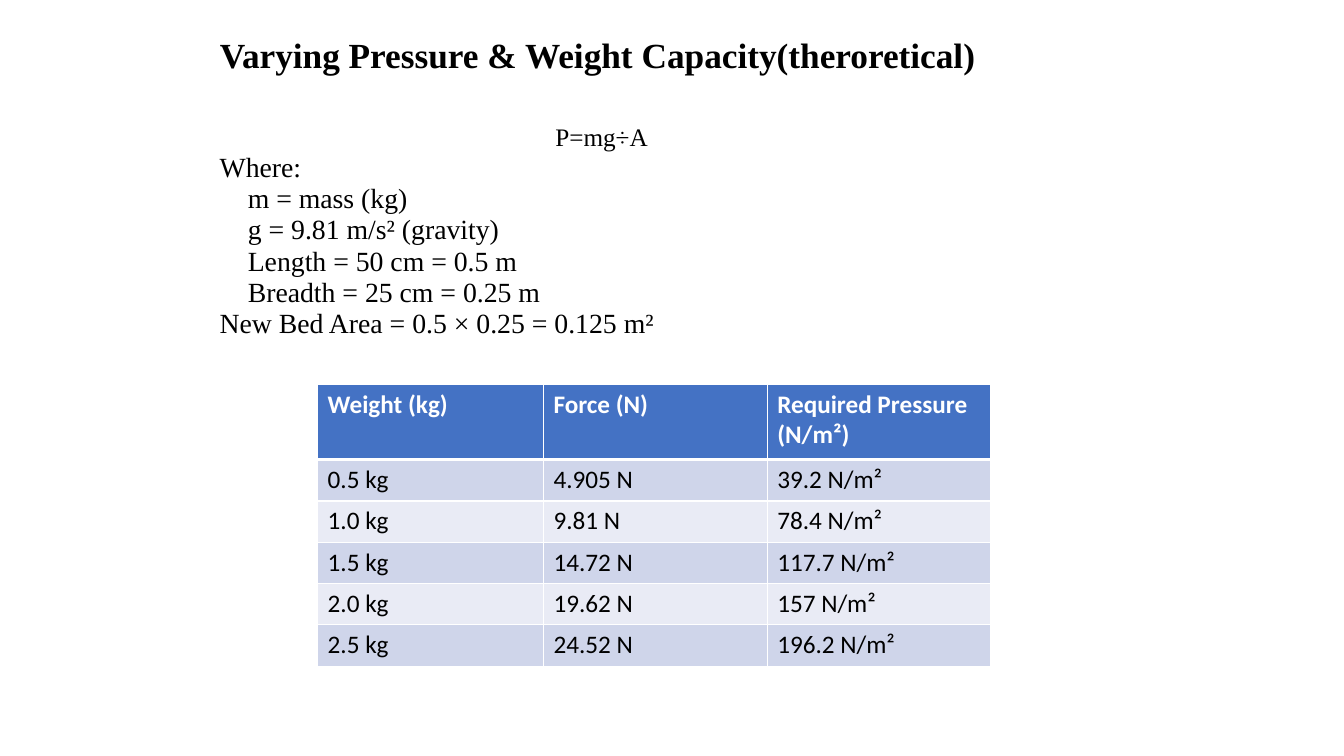
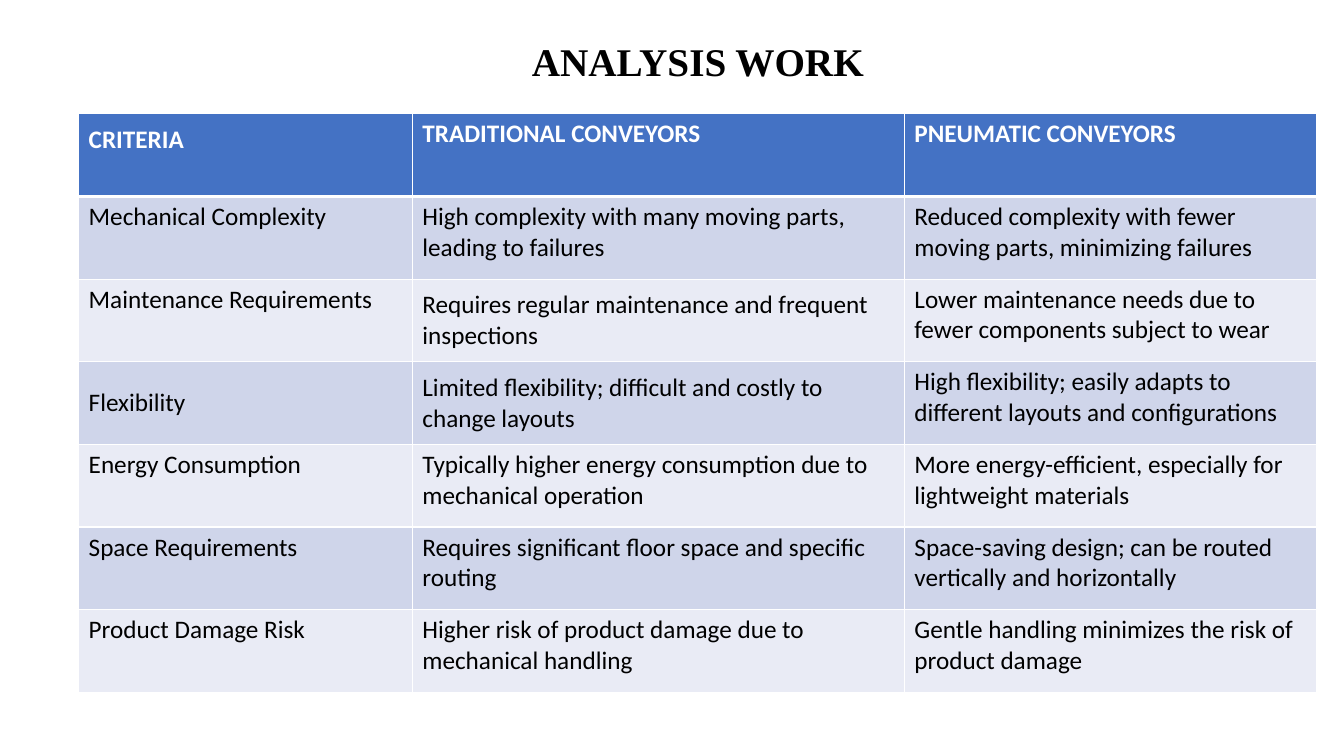
from dataclasses import dataclass

from lxml import etree
from pptx import Presentation
from pptx.dml.color import RGBColor
from pptx.enum.text import MSO_ANCHOR, MSO_AUTO_SIZE, PP_ALIGN
from pptx.oxml.ns import qn
from pptx.util import Inches, Pt

BLACK = RGBColor(0x00, 0x00, 0x00)
WHITE = RGBColor(0xFF, 0xFF, 0xFF)
HEADER_BLUE = RGBColor(0x44, 0x72, 0xC4)
BAND_DARK = RGBColor(0xCF, 0xD5, 0xEA)
BAND_LIGHT = RGBColor(0xE9, 0xEB, 0xF5)

SERIF = "Times New Roman"
SANS = "Calibri"
LEFT, CENTER = PP_ALIGN.LEFT, PP_ALIGN.CENTER
TOP, MIDDLE = MSO_ANCHOR.TOP, MSO_ANCHOR.MIDDLE
NO_AUTOFIT = MSO_AUTO_SIZE.NONE
TITLE_ONLY = 5


@dataclass(frozen=True)
class Area:
    left: float
    top: float
    width: float
    height: float

    def lengths(self):
        return [Inches(n) for n in (self.left, self.top, self.width, self.height)]


@dataclass(frozen=True)
class Line:
    text: str
    size: float = 19.8
    indent: float = 0


@dataclass(frozen=True)
class Grid:
    area: Area
    columns: tuple[float, ...]
    row_heights: tuple[float, ...]
    rows: tuple[tuple[str, ...], ...]
    middle_cells: tuple[tuple[int, int], ...] = ()


def add_span(para, text: str, font: str, size: float, color: RGBColor,
             bold: bool = False) -> None:
    span = para.add_run()
    span.text = text
    span.font.name = font
    span.font.size = Pt(size)
    span.font.color.rgb = color
    span.font.bold = bold


def add_page(deck, title: str, area: Area, size: float, align):
    page = deck.slides.add_slide(deck.slide_layouts[TITLE_ONLY])
    box = page.shapes.title
    box.left, box.top, box.width, box.height = area.lengths()
    frame = box.text_frame
    frame.auto_size = NO_AUTOFIT
    frame.word_wrap = True
    frame.vertical_anchor = MIDDLE
    para = frame.paragraphs[0]
    para.alignment = align
    para.line_spacing = 0.9
    add_span(para, title, SERIF, size, BLACK, bold=True)
    return page


def add_lines(page, area: Area, lines: tuple[Line, ...]) -> None:
    frame = page.shapes.add_textbox(*area.lengths()).text_frame
    frame.word_wrap = True
    for index, line in enumerate(lines):
        para = frame.add_paragraph() if index else frame.paragraphs[0]
        para.line_spacing = 0.94
        para._p.get_or_add_pPr().set("marL", str(Inches(line.indent)))
        add_span(para, line.text, SERIF, line.size, BLACK)


def set_borders(cell, top: float, bottom: float) -> None:
    properties = cell._tc.get_or_add_tcPr()
    for side, width in (("L", 1), ("R", 1), ("T", top), ("B", bottom)):
        border = etree.SubElement(properties, qn(f"a:ln{side}"), w=str(Pt(width)))
        fill = etree.SubElement(border, qn("a:solidFill"))
        etree.SubElement(fill, qn("a:srgbClr"), val=str(WHITE))


def add_grid(page, grid: Grid) -> None:
    table = page.shapes.add_table(
        len(grid.rows), len(grid.columns), *grid.area.lengths()).table
    for column, width in zip(table.columns, grid.columns):
        column.width = Inches(width)
    for row, height in zip(table.rows, grid.row_heights):
        row.height = Inches(height)
    for r, texts in enumerate(grid.rows):
        header = r == 0
        band = HEADER_BLUE if header else BAND_DARK if r % 2 else BAND_LIGHT
        for c, text in enumerate(texts):
            cell = table.cell(r, c)
            # A thick rule separates the header from the body
            set_borders(cell, top=3 if r == 1 else 1, bottom=3 if header else 1)
            cell.fill.solid()
            cell.fill.fore_color.rgb = band
            cell.vertical_anchor = MIDDLE if (r, c) in grid.middle_cells else TOP
            if header and (r, c) in grid.middle_cells:
                cell.margin_bottom = Inches(0.35)
            add_span(cell.text_frame.paragraphs[0], text, SANS, 18,
                     WHITE if header else BLACK, bold=header)


FORMULA_LINES = (
    Line("P=mg÷A", size=18, indent=3.33),
    Line("Where:"),
    Line("m = mass (kg)", indent=0.28),
    Line("g = 9.81 m/s² (gravity)", indent=0.28),
    Line("Length = 50 cm = 0.5 m", indent=0.28),
    Line("Breadth = 25 cm = 0.25 m", indent=0.28),
    Line("New Bed Area = 0.5 × 0.25 = 0.125 m²"),
)

PRESSURE_GRID = Grid(
    area=Area(3.15, 3.81, 6.68, 2.8),
    columns=(2.24, 2.22, 2.22),
    row_heights=(0.75,) + (0.41,) * 5,
    rows=(
        ("Weight (kg)", "Force (N)", "Required Pressure (N/m²)"),
        ("0.5 kg", "4.905 N", "39.2 N/m²"),
        ("1.0 kg", "9.81 N", "78.4 N/m²"),
        ("1.5 kg", "14.72 N", "117.7 N/m²"),
        ("2.0 kg", "19.62 N", "157 N/m²"),
        ("2.5 kg", "24.52 N", "196.2 N/m²"),
    ),
)

CONVEYOR_GRID = Grid(
    area=Area(0.78, 1.13, 12.28, 5.74),
    columns=(3.31, 4.88, 4.09),
    row_heights=(0.82,) * 7,
    rows=(
        ("CRITERIA", "TRADITIONAL CONVEYORS", "PNEUMATIC CONVEYORS"),
        ("Mechanical Complexity",
         "High complexity with many moving parts, leading to failures",
         "Reduced complexity with fewer moving parts, minimizing failures"),
        ("Maintenance Requirements",
         "Requires regular maintenance and frequent inspections",
         "Lower maintenance needs due to fewer components subject to wear"),
        ("Flexibility",
         "Limited flexibility; difficult and costly to change layouts",
         "High flexibility; easily adapts to different layouts and configurations"),
        ("Energy Consumption",
         "Typically higher energy consumption due to mechanical operation",
         "More energy-efficient, especially for lightweight materials"),
        ("Space Requirements",
         "Requires significant floor space and specific routing",
         "Space-saving design; can be routed vertically and horizontally"),
        ("Product Damage Risk",
         "Higher risk of product damage due to mechanical handling",
         "Gentle handling minimizes the risk of product damage"),
    ),
    middle_cells=((0, 0), (2, 1), (3, 0), (3, 1)),
)


def main() -> None:
    deck = Presentation()
    deck.slide_width, deck.slide_height = Inches(13.33), Inches(7.5)

    # Pressure needed for each weight
    page = add_page(deck, "Varying Pressure & Weight Capacity(theroretical)",
                    Area(2.08, 0.27, 11, 0.6), 25.2, LEFT)
    add_lines(page, Area(2.08, 1.18, 11, 2.2), FORMULA_LINES)
    add_grid(page, PRESSURE_GRID)

    # Comparison of conveyor types
    page = add_page(deck, "ANALYSIS WORK", Area(1.17, 0.27, 11.5, 0.73), 28, CENTER)
    add_grid(page, CONVEYOR_GRID)

    deck.save("out.pptx")


if __name__ == "__main__":
    main()
